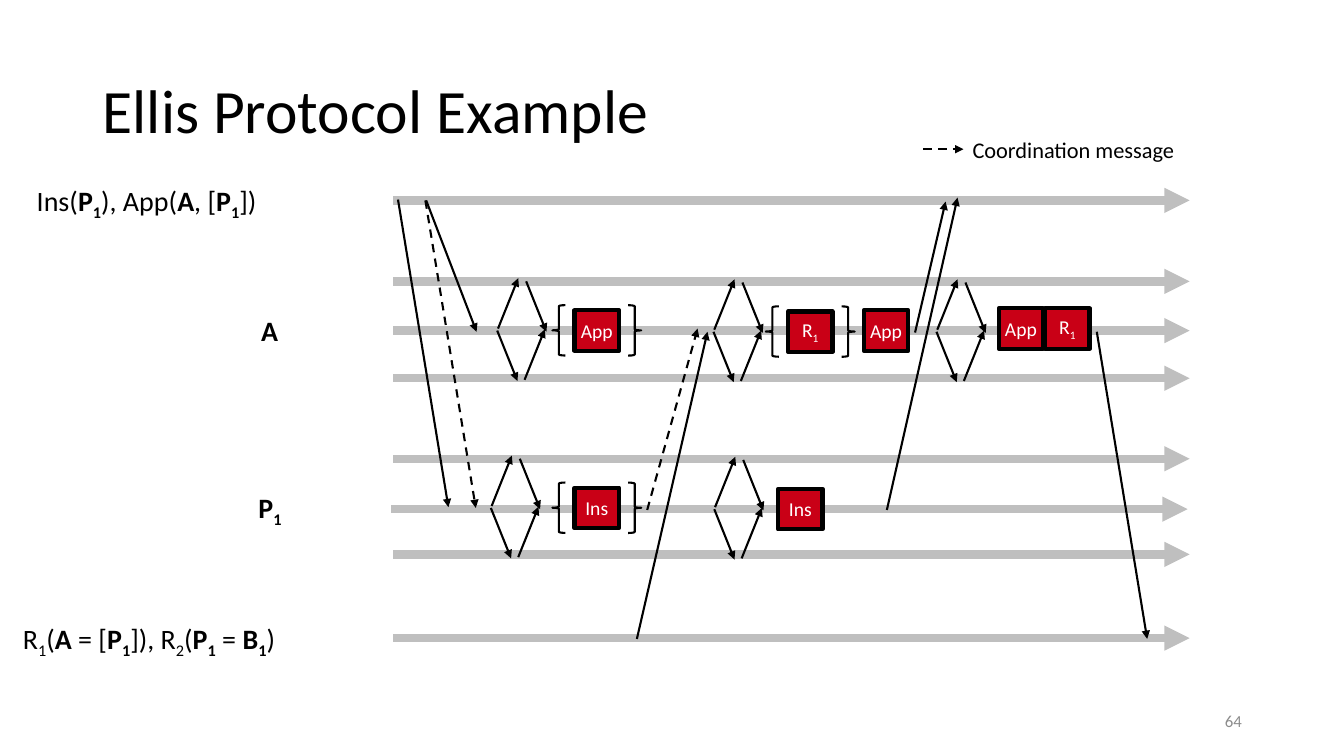
from lxml.etree import SubElement
from pptx import Presentation
from pptx.dml.color import RGBColor
from pptx.enum.dml import MSO_LINE as Dash
from pptx.enum.shapes import MSO_CONNECTOR as Link, MSO_SHAPE as Kind
from pptx.enum.text import MSO_ANCHOR as Anchor, PP_ALIGN as Align
from pptx.oxml.ns import qn
from pptx.util import Cm, Pt

rgb = RGBColor.from_string


def write(shape, text, size=20, color="000000", align=Align.CENTER,
          anchor=Anchor.TOP, inset=(0, 0), wrap=False):
    frame = shape.text_frame
    frame.word_wrap = wrap
    frame.vertical_anchor = anchor
    frame.margin_left = frame.margin_right = Cm(inset[0])
    frame.margin_top = frame.margin_bottom = Cm(inset[1])
    para = frame.paragraphs[0]
    para.alignment = align
    for i, part in enumerate(text.split("*")):
        for j, piece in enumerate(part.split("_")):
            bits = [(piece[:1], True), (piece[1:], False)] if j else [(piece, False)]
            for word, low in bits:
                if not word:
                    continue
                run = para.add_run()
                run.text = word
                font = run.font
                font.name = "Calibri"
                font.size = Pt(size)
                font.bold = i % 2 == 1
                font.color.rgb = rgb(color)
                if low:
                    font._element.set("baseline", "-25000")


deck = Presentation()
deck.slide_width, deck.slide_height = Cm(33.87), Cm(19.05)
slide = deck.slides.add_slide(deck.slide_layouts[5])
shapes = slide.shapes

title = shapes.title
title.left, title.top, title.width, title.height = Cm(2.34), Cm(1.02), Cm(29.21), Cm(3.68)
write(title, "Ellis Protocol Example", size=44, align=Align.LEFT,
      anchor=Anchor.MIDDLE, inset=(0.25, 0.13), wrap=True)
title.text_frame.paragraphs[0].line_spacing = 0.9

labels = [
    (0.76, 4.62, 5.87, "Ins(*P_1*), App(*A*, [*P_1*])"),
    (6.58, 7.9, 0.43, "*A*"),
    (6.5, 12.37, 0.61, "*P_1*"),
    (0.48, 15.65, 6.55, "R_1(*A* = [*P_1*]), R_2(*P_1* = *B_1*)"),
]
for x, y, wide, text in labels:
    write(shapes.add_textbox(Cm(x), Cm(y), Cm(wide), Cm(0.86)), text)

lanes = [(9.91, 5.05), (9.91, 7.09), (9.91, 8.33), (9.91, 9.53),
         (9.91, 11.56), (9.86, 12.83), (9.91, 13.97), (9.91, 16.08)]
lines = [(x, y, x + 20.07, y, "BFBFBF", 6, False) for x, y in lanes]

calls = [
    (10.74, 5.05, 12.01, 8.36, False),
    (23.06, 8.38, 23.83, 5.08, False),
    (22.35, 12.85, 24.13, 4.98, False),
    (10.03, 5.03, 11.3, 12.78, False),
    (10.72, 5.05, 11.99, 12.8, True),
    (16.31, 12.85, 17.58, 8.28, True),
    (16.05, 16.1, 17.83, 8.36, False),
    (27.64, 8.36, 28.91, 16.1, False),
    (23.27, 3.76, 24.28, 3.76, True),
]
lines += [(*ends, "000000", 1.5, dash) for *ends, dash in calls]

rounds = [(12.53, 8.33), (12.37, 12.8), (18, 12.83), (17.98, 8.36), (23.6, 8.36)]
sides = [(0, 0, 0.51, 1.27), (0.02, -0.05, 0.53, -1.32),
         (0.73, -1.24, 1.24, 0.03), (0.69, 1.24, 1.2, -0.03)]
lines += [(x + a, y + b, x + c, y + d, "000000", 1.5, False)
          for x, y in rounds for a, b, c, d in sides]

for x1, y1, x2, y2, color, width, dash in lines:
    line = shapes.add_connector(Link.STRAIGHT, Cm(x1), Cm(y1), Cm(x2), Cm(y2))
    line.line.color.rgb = rgb(color)
    line.line.width = Pt(width)
    if dash:
        line.line.dash_style = Dash.DASH
    props = line._element.spPr
    SubElement(props.find(qn("a:ln")), qn("a:tailEnd"), type="triangle")
    SubElement(props, qn("a:effectLst"))

boxes = [
    (14.48, 7.82, "App", True),
    (14.48, 12.29, "Ins", True),
    (19.61, 12.32, "Ins", False),
    (21.77, 7.82, "App", False),
    (19.86, 7.85, "R_1", True),
    (26.34, 7.77, "R_1", False),
    (25.17, 7.77, "App", False),
]
for x, y, text, held in boxes:
    box = shapes.add_shape(Kind.RECTANGLE, Cm(x), Cm(y), Cm(1.12), Cm(1.02))
    box.shadow.inherit = False
    box.fill.solid()
    box.fill.fore_color.rgb = rgb("C90016")
    box.line.color.rgb = rgb("000000")
    box.line.width = Pt(3)
    write(box, text, size=14, color="FFFFFF", anchor=Anchor.MIDDLE,
          inset=(0, 0.13), wrap=True)
    for shift, turn in [(-0.56, 0), (1.35, 180)] if held else []:
        brace = shapes.add_shape(Kind.LEFT_BRACE, Cm(x + shift), Cm(y - 0.13),
                                 Cm(0.33), Cm(1.27))
        brace.rotation = turn
        brace.shadow.inherit = False
        brace.fill.background()
        brace.line.color.rgb = rgb("000000")
        brace.line.width = Pt(1.5)

legend = shapes.add_textbox(Cm(24.26), Cm(3.3), Cm(5.66), Cm(0.94))
write(legend, "Coordination message", size=16, align=Align.LEFT, inset=(0.25, 0.13))

number = shapes.add_textbox(Cm(23.93), Cm(17.65), Cm(7.62), Cm(1.02))
write(number, "64", size=12, color="8C8C8C", align=Align.RIGHT,
      anchor=Anchor.MIDDLE, inset=(0.25, 0.13), wrap=True)

deck.save("out.pptx")
